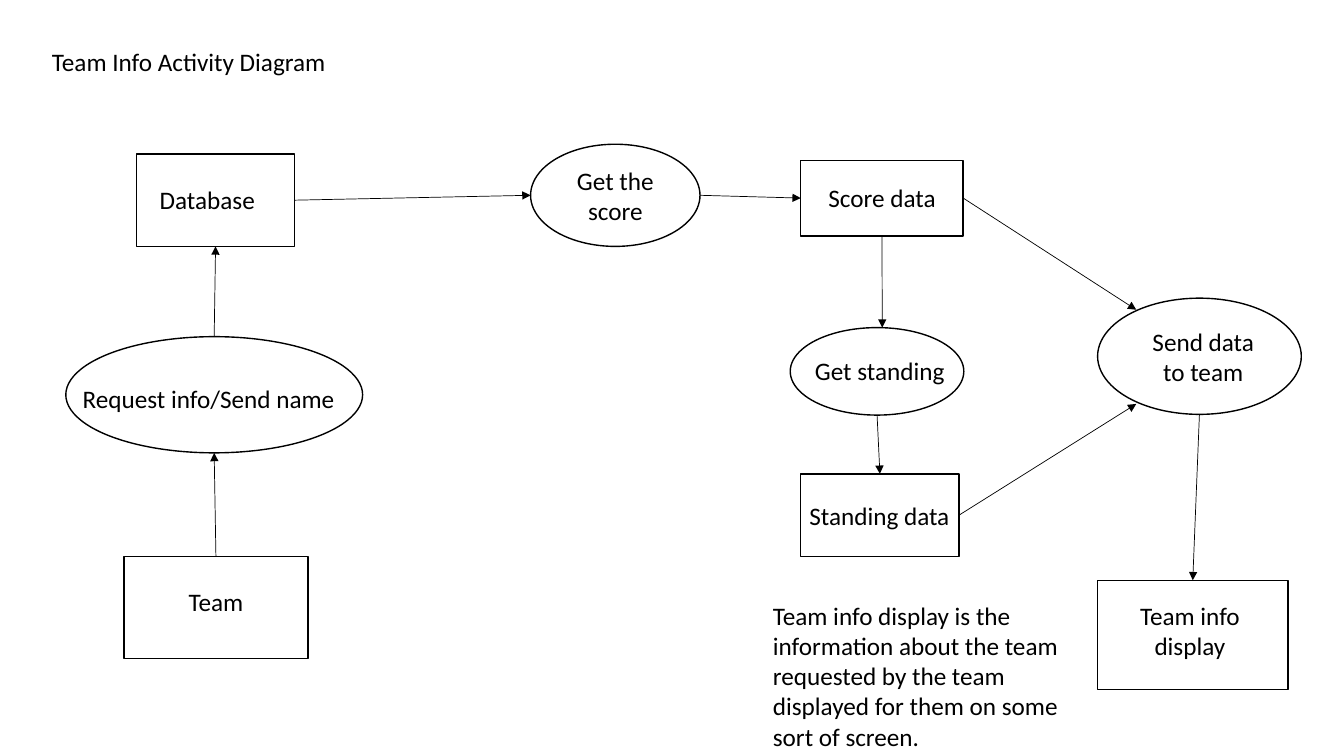
"""Build the team info activity diagram slide."""
from lxml import etree
from pptx import Presentation
from pptx import util as u
from pptx.dml.color import RGBColor
from pptx.enum import shapes, text
from pptx.oxml import ns

BLACK = RGBColor(0, 0, 0)
WHITE = RGBColor(255, 255, 255)
BOX = shapes.MSO_SHAPE.RECTANGLE
OVAL = shapes.MSO_SHAPE.OVAL
LEFT = text.PP_ALIGN.LEFT
MID = text.PP_ALIGN.CENTER

NODES = {
    "team": (BOX, 88.5, 397.5, 131.5, 73),
    "request": (OVAL, 47, 240.5, 212, 83),
    "database": (BOX, 97.5, 110, 113, 66),
    "get score": (OVAL, 379, 103, 121, 73),
    "score": (BOX, 572, 114.5, 116, 54),
    "get standing": (OVAL, 564.5, 234, 124, 62.5),
    "standing": (BOX, 572, 338.5, 113, 59),
    "send": (OVAL, 784, 213, 145.5, 83),
    "display": (BOX, 784, 414.5, 136, 78),
}
LABELS = [
    ("Team Info Activity Diagram", LEFT, 30, 29.5, 215, 29),
    ("Team", MID, 88.5, 415.5, 131.5, 29),
    ("Request info/Send name", LEFT, 52, 270, 204.5, 29),
    ("Database", LEFT, 107, 128, 94, 29),
    ("Get the score", MID, 396, 114.5, 87, 51),
    ("Score data", MID, 578, 127, 104, 29),
    ("Get standing", LEFT, 575, 250.5, 110, 29),
    ("Standing data", LEFT, 571, 353.5, 118, 29),
    ("Send data to team", MID, 811, 229.5, 97, 51),
    ("Team info display", MID, 792, 425, 116, 51),
    ("Team info display is the information about the team requested by "
     "the team displayed for them on some sort of screen.",
     LEFT, 545, 425, 227, 117),
]
SPOTS = {
    "top": (0.5, 0), "left": (0, 0.5), "bottom": (0.5, 1), "right": (1, 0.5),
    "upper left": (0.19, 0.1), "lower left": (0.19, 0.91),
    "near top": (0.53, 0),
}
SITES = ["top", "left", "bottom", "right"]
ARROWS = [
    ("team", "top", "request", "bottom"),
    ("request", "top", "database", "bottom"),
    ("database", "right", "get score", "left"),
    ("get score", "right", "score", "left"),
    ("score", "bottom", "get standing", "near top"),
    ("get standing", "bottom", "standing", "top"),
    ("score", "right", "send", "upper left"),
    ("standing", "right", "send", "lower left"),
    ("send", "bottom", "display", "top"),
]


def add_node(slide, kind, *area):
    node = slide.shapes.add_shape(kind, *map(u.Pt, area))
    node.shadow.inherit = False
    node.fill.solid()
    node.fill.fore_color.rgb = WHITE
    node.line.color.rgb = BLACK
    node.line.width = u.Pt(1)
    return node


def find_spot(name, side):
    kind, left, top, width, height = NODES[name]
    across, down = SPOTS[side]
    return u.Pt(left + across * width), u.Pt(top + down * height)


def add_arrow(slide, nodes, start, out, goal, side):
    arrow = slide.shapes.add_connector(
        shapes.MSO_CONNECTOR.STRAIGHT,
        *find_spot(start, out), *find_spot(goal, side))
    if NODES[start][0] == BOX:
        arrow.begin_connect(nodes[start], SITES.index(out))
    if NODES[goal][0] == BOX:
        arrow.end_connect(nodes[goal], SITES.index(side))
    arrow.line.color.rgb = BLACK
    arrow.line.width = u.Pt(0.5)
    line = arrow.line._get_or_add_ln()
    etree.SubElement(line, ns.qn("a:tailEnd"), type="triangle")
    etree.SubElement(arrow._element.spPr, ns.qn("a:effectLst"))


def add_label(slide, words, align, *area):
    frame = slide.shapes.add_textbox(*map(u.Pt, area)).text_frame
    frame.word_wrap = True
    frame.text = words
    line = frame.paragraphs[0]
    line.alignment = align
    font = line.runs[0].font
    font.name = "Calibri"
    font.size = u.Pt(18)
    font.color.rgb = BLACK


def main():
    deck = Presentation()
    deck.slide_width, deck.slide_height = u.Pt(960), u.Pt(540)
    slide = deck.slides.add_slide(deck.slide_layouts[6])
    nodes = {name: add_node(slide, *node) for name, node in NODES.items()}
    for arrow in ARROWS:
        add_arrow(slide, nodes, *arrow)
    for label in LABELS:
        add_label(slide, *label)
    deck.save("out.pptx")


if __name__ == "__main__":
    main()
